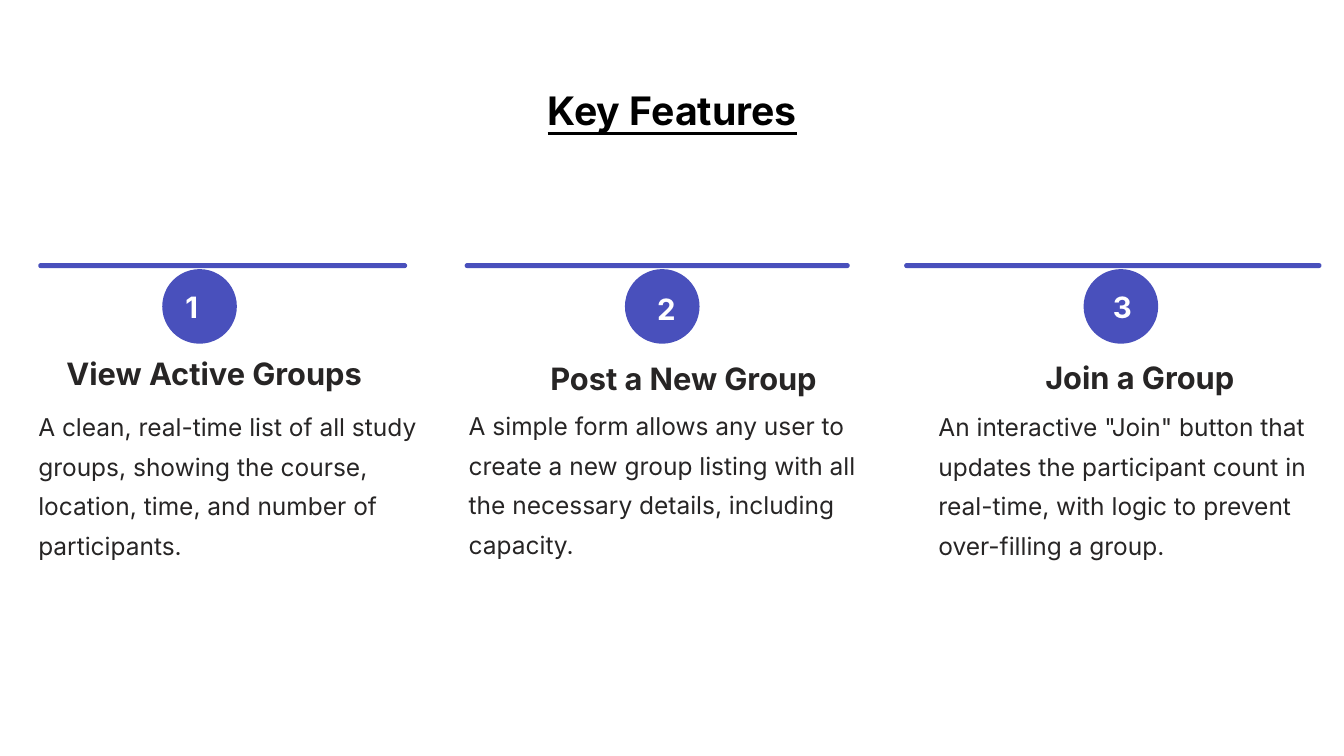
from dataclasses import dataclass

import pptx
import pptx.dml.color
import pptx.enum.shapes
import pptx.enum.text
import pptx.slide
import pptx.text.text
import pptx.util

INDIGO = pptx.dml.color.RGBColor(0x49, 0x50, 0xBC)
CHARCOAL = pptx.dml.color.RGBColor(0x27, 0x25, 0x25)
BLACK = pptx.dml.color.RGBColor(0, 0, 0)
WHITE = pptx.dml.color.RGBColor(0xFF, 0xFF, 0xFF)
FONT = "Inter"

# Square grid cells: every position and size below counts columns and rows.
CELL = pptx.util.Inches(0.1)
SLIDE_COLS, SLIDE_ROWS = 133.33, 75
RULE_TOP, RULE_ROWS = 26.1, 0.5
BADGE_TOP, BADGE_SIZE = 26.7, 7.4
HEADING_ROWS = 3.9
BODY_COLS, BODY_ROWS = 40.3, 15.9


@dataclass(frozen=True)
class Box:
    left: float
    top: float
    cols: float
    rows: float

    def emu(self) -> tuple[int, ...]:
        return tuple(round(n * CELL) for n in (self.left, self.top, self.cols, self.rows))


@dataclass(frozen=True)
class TextStyle:
    size: float
    spacing: float
    color: pptx.dml.color.RGBColor
    bold: bool = True
    wrap: bool = False


@dataclass(frozen=True)
class Feature:
    rule_left: float
    rule_cols: float
    badge_left: float
    number: str
    number_box: Box
    heading: str
    heading_left: float
    heading_top: float
    heading_cols: float
    body: str
    body_left: float
    body_top: float


TITLE = TextStyle(28, 27.5, BLACK)
NUMBER = TextStyle(21, 34, WHITE)
HEADING = TextStyle(22, 27.5, CHARCOAL)
BODY = TextStyle(17.5, 28.5, CHARCOAL, bold=False, wrap=True)

FEATURES = (
    Feature(3.8, 36.6, 16.1, "1", Box(18.4, 27.5, 1.4, 4.7),
            "View Active Groups", 6.6, 35, 31,
            "A clean, real-time list of all study groups, showing the course, "
            "location, time, and number of participants.", 3.8, 39.8),
    Feature(46.1, 38.2, 62, "2", Box(65.2, 27.7, 3, 3.7),
            "Post a New Group", 54.6, 35.5, 22.6,
            "A simple form allows any user to create a new group listing with "
            "all the necessary details, including capacity.", 46.5, 39.7),
    Feature(89.7, 41.4, 107.5, "3", Box(110.4, 27.5, 3.1, 4.6),
            "Join a Group", 103.7, 35.4, 17.5,
            'An interactive "Join" button that updates the participant count '
            "in real-time, with logic to prevent over-filling a group.", 93.1, 39.8),
)


def write(tf: pptx.text.text.TextFrame, text: str,
          style: TextStyle) -> pptx.text.text._Paragraph:
    tf.margin_left = tf.margin_top = tf.margin_right = tf.margin_bottom = 0
    tf.word_wrap = style.wrap
    tf.auto_size = pptx.enum.text.MSO_AUTO_SIZE.NONE
    tf.vertical_anchor = pptx.enum.text.MSO_ANCHOR.TOP
    p = tf.paragraphs[0]
    p.text = text
    p.line_spacing = pptx.util.Pt(style.spacing)
    p.font.name = FONT
    p.font.size = pptx.util.Pt(style.size)
    p.font.bold = style.bold
    p.font.color.rgb = style.color
    return p


def add_title(s: pptx.slide.Slide, text: str, box: Box) -> None:
    sp = s.shapes.title
    sp.left, sp.top, sp.width, sp.height = box.emu()
    p = write(sp.text_frame, text, TITLE)
    p.alignment = pptx.enum.text.PP_ALIGN.CENTER
    p.font.underline = True


def add_text(s: pptx.slide.Slide, text: str, box: Box, style: TextStyle) -> None:
    write(s.shapes.add_textbox(*box.emu()).text_frame, text, style)


def add_pill(s: pptx.slide.Slide, box: Box) -> None:
    """Draw a fully rounded bar, which is a circle when the box is square."""
    sp = s.shapes.add_shape(pptx.enum.shapes.MSO_SHAPE.ROUNDED_RECTANGLE, *box.emu())
    sp.adjustments[0] = 0.5
    sp.shadow.inherit = False
    sp.fill.solid()
    sp.fill.fore_color.rgb = INDIGO
    sp.line.fill.background()


def add_feature(s: pptx.slide.Slide, f: Feature) -> None:
    add_pill(s, Box(f.rule_left, RULE_TOP, f.rule_cols, RULE_ROWS))
    add_pill(s, Box(f.badge_left, BADGE_TOP, BADGE_SIZE, BADGE_SIZE))
    add_text(s, f.number, f.number_box, NUMBER)
    heading_box = Box(f.heading_left, f.heading_top, f.heading_cols, HEADING_ROWS)
    add_text(s, f.heading, heading_box, HEADING)
    add_text(s, f.body, Box(f.body_left, f.body_top, BODY_COLS, BODY_ROWS), BODY)


def main() -> None:
    prs = pptx.Presentation()
    prs.slide_width = round(SLIDE_COLS * CELL)
    prs.slide_height = SLIDE_ROWS * CELL
    s = prs.slides.add_slide(prs.slide_layouts[5])
    s.background.fill.solid()
    s.background.fill.fore_color.rgb = WHITE
    add_title(s, "Key Features", Box(51.2, 9.4, 31, HEADING_ROWS))
    for feature in FEATURES:
        add_feature(s, feature)
    prs.save("out.pptx")


if __name__ == "__main__":
    main()
